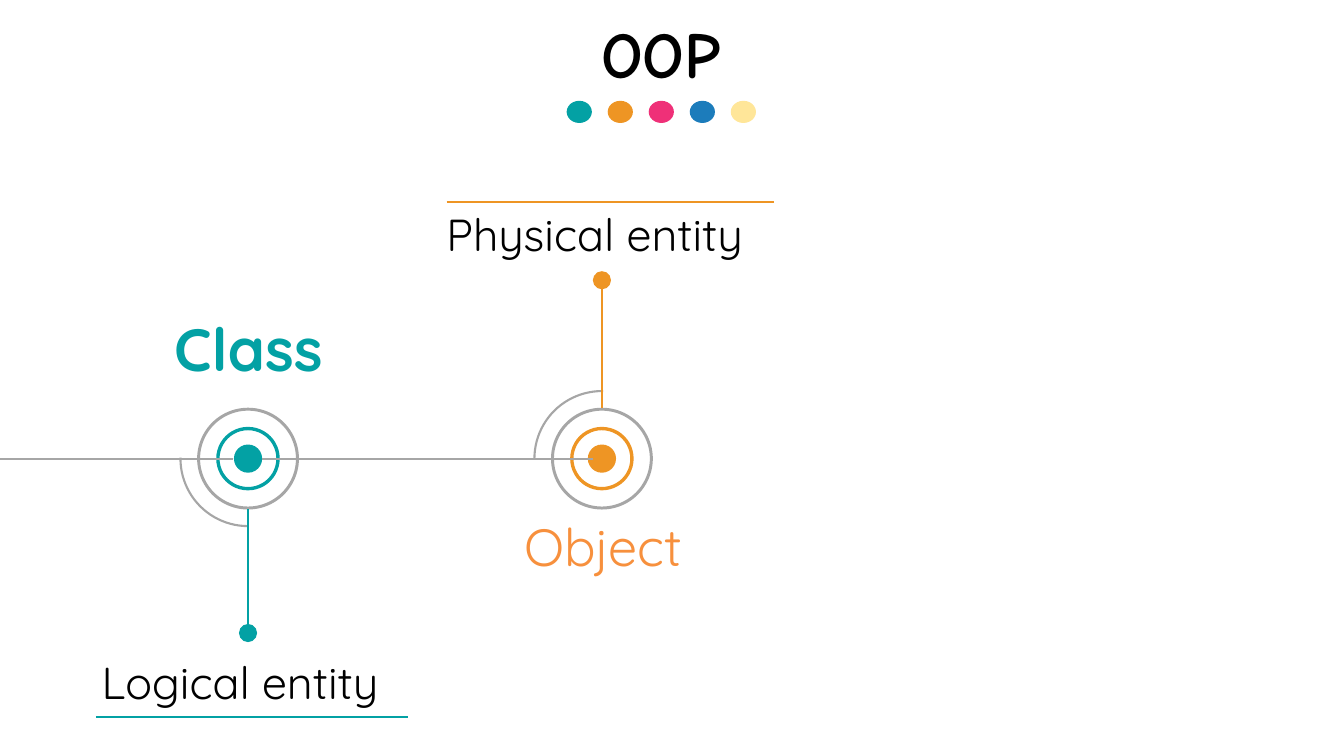
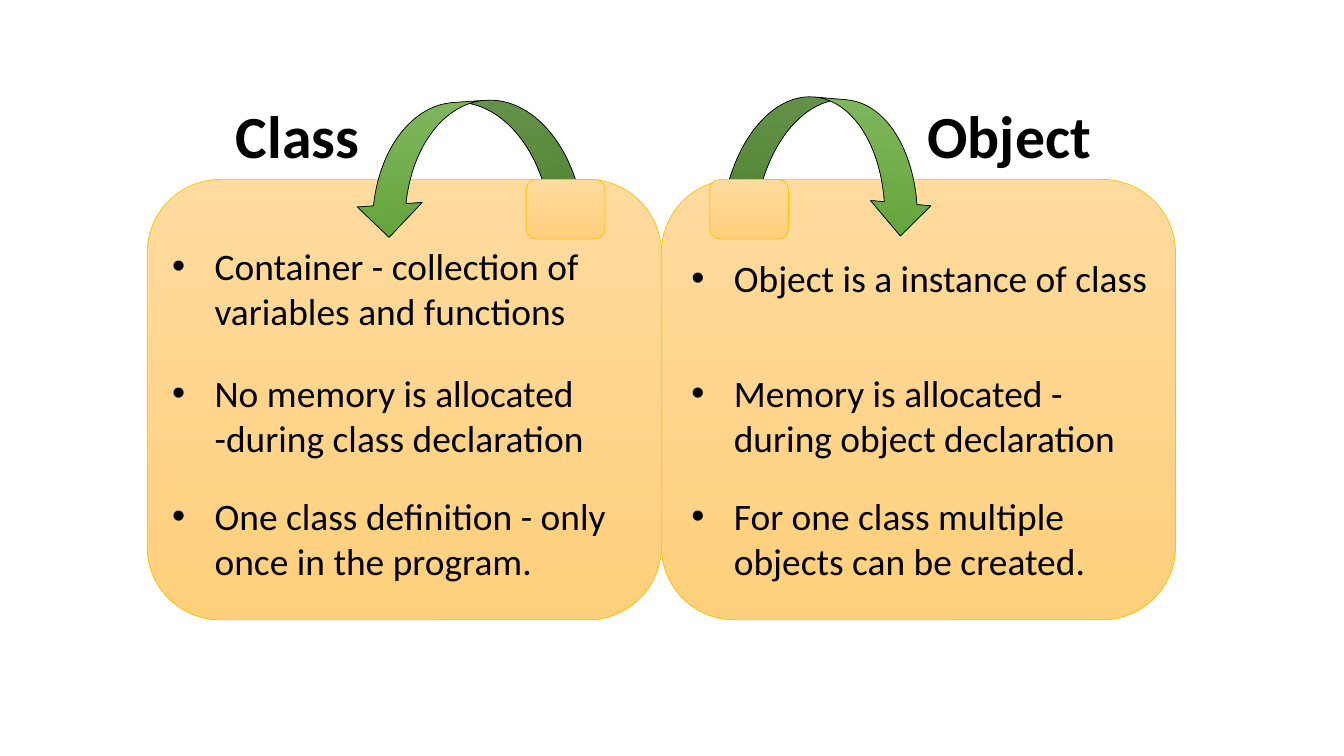
from lxml import etree
from pptx import Presentation
from pptx.dml.color import RGBColor
from pptx.enum.shapes import MSO_CONNECTOR, MSO_SHAPE
from pptx.enum.text import MSO_AUTO_SIZE, PP_ALIGN
from pptx.oxml.ns import qn
from pptx.util import Inches, Pt

ARC, OVAL, DONUT = MSO_SHAPE.ARC, MSO_SHAPE.OVAL, MSO_SHAPE.DONUT
ROUNDED, CURVED = MSO_SHAPE.ROUNDED_RECTANGLE, MSO_SHAPE.CURVED_DOWN_ARROW
STRAIGHT = MSO_CONNECTOR.STRAIGHT
LEFT, CENTER = PP_ALIGN.LEFT, PP_ALIGN.CENTER

BLACK = RGBColor(0x00, 0x00, 0x00)
GRAY = RGBColor(0xA6, 0xA6, 0xA6)
TEAL = RGBColor(0x03, 0xA1, 0xA4)
ORANGE = RGBColor(0xEE, 0x95, 0x24)
LABEL_ORANGE = RGBColor(0xF7, 0x90, 0x3D)
PINK = RGBColor(0xEF, 0x30, 0x78)
BLUE = RGBColor(0x1C, 0x7C, 0xBB)
CREAM = RGBColor(0xFF, 0xE6, 0x99)
GOLD = RGBColor(0xFF, 0xC0, 0x00)
CARD_FILL = (RGBColor(0xFF, 0xDB, 0x9E), RGBColor(0xFF, 0xD0, 0x7C))
ARROW_FILL = (RGBColor(0x81, 0xB8, 0x61), RGBColor(0x62, 0xA3, 0x36))

WIDTH, HEIGHT = 13.33, 7.5
TIMELINE_FONT, CARD_FONT = "Quicksand", "Calibri"
HEADING_SIZE = 42.7

TITLE = "OOP"
DOT_COLORS = [TEAL, ORANGE, PINK, BLUE, CREAM]
AXIS_Y = 4.55
NODES = [
    dict(x=2.46, color=TEAL, side=1, turn=0, pin_y=6.28, axis=(0, 2.31),
         name=("Class", (1.36, 3.04, 2.21, 0.82), HEADING_SIZE, TEAL, True),
         note=("Logical entity", (0.91, 6.45, 3.5, 0.64)), rule=(0.95, 4.05, 7.11)),
    dict(x=5.97, color=ORANGE, side=-1, turn=90, pin_y=2.78, axis=(2.6, 5.88),
         name=("Object", (4.43, 5.05, 3.1, 0.73), 37.3, LABEL_ORANGE, False),
         note=("Physical entity", (4.33, 2, 3.57, 0.64)), rule=(4.43, 7.68, 2)),
]

CARD_TOP, CARD_W, CARD_H = 1.78, 5.1, 4.37
CARD_LEFT = 1.46
BULLET_TOPS = [2.36, 3.62, 4.84]
CARDS = [
    dict(heading="Class", heading_box=(2.24, 0.93, 1.56, 0.82), tab_x=5.22, text_x=1.61,
         arrow=(3.49, 1.01, 2.26, 1.29), turn=356, flip=True, head=0.5, first_drop=0,
         points=["Container - collection of variables and functions",
                 "No memory is allocated -during class declaration",
                 "One class definition - only once in the program."]),
    dict(heading="Object", heading_box=(9.1, 0.93, 2.4, 0.82), tab_x=7.04, text_x=6.76,
         arrow=(7.21, 0.98, 2.08, 1.3), turn=5, flip=False, head=0.462, first_drop=0.12,
         points=["Object is a instance of class",
                 "Memory is allocated - during object declaration",
                 "For one class multiple objects can be created."]),
]


def add_shape(slide, kind, box, fill=None, line=None, weight=1.5, adj=(), turn=0):
    sp = slide.shapes.add_shape(kind, *map(Inches, box))
    sp.shadow.inherit = False
    for i, value in enumerate(adj):
        sp.adjustments[i] = value
    if fill is None:
        sp.fill.background()
    elif isinstance(fill, RGBColor):
        sp.fill.solid()
        sp.fill.fore_color.rgb = fill
    else:
        sp.fill.gradient()
        sp.fill.gradient_angle = 270
        for stop, color in zip(sp.fill.gradient_stops, fill):
            stop.color.rgb = color
    if line is None:
        sp.line.fill.background()
    else:
        sp.line.color.rgb = line
        sp.line.width = Pt(weight)
    sp.rotation = turn
    return sp


def add_round(slide, kind, x, y, size, fill=None, **style):
    return add_shape(slide, kind, (x - size / 2, y - size / 2, size, size), fill, **style)


def add_line(slide, x1, y1, x2, y2, color):
    line = slide.shapes.add_connector(STRAIGHT, *map(Inches, (x1, y1, x2, y2)))
    line.line.color.rgb = color
    line.line.width = Pt(1.5)
    etree.SubElement(line._element.spPr, qn("a:effectLst"))


def add_text(slide, text, box, size, font, color=BLACK, bold=False, align=LEFT, bullet=False):
    tf = slide.shapes.add_textbox(*map(Inches, box)).text_frame
    tf.word_wrap = True
    tf.auto_size = MSO_AUTO_SIZE.SHAPE_TO_FIT_TEXT
    tf.text = text
    p = tf.paragraphs[0]
    p.alignment = align
    if bullet:
        pPr = p._p.get_or_add_pPr()
        pPr.set("marL", str(Inches(0.42)))
        pPr.set("indent", str(-Inches(0.42)))
        etree.SubElement(pPr, qn("a:buFont"), typeface="Arial")
        etree.SubElement(pPr, qn("a:buChar"), char="•")
    f = p.runs[0].font
    f.name, f.size, f.bold = font, Pt(size), bold
    f.color.rgb = color


def add_node(slide, node):
    x, color, side = node["x"], node["color"], node["side"]
    add_round(slide, ARC, x, AXIS_Y, 1.34, line=GRAY, adj=(54.2, 108.53), turn=node["turn"])
    add_round(slide, OVAL, x, AXIS_Y, 0.28, color)
    add_round(slide, DONUT, x, AXIS_Y, 0.63, color, adj=(0.053,))
    add_round(slide, DONUT, x, AXIS_Y, 1.01, GRAY, adj=(0.029,))
    start, end = node["axis"]
    add_line(slide, start, AXIS_Y, end, AXIS_Y, GRAY)
    add_line(slide, x, AXIS_Y + side * 0.5, x, node["pin_y"], color)
    add_round(slide, OVAL, x, node["pin_y"], 0.18, color)
    name, box, size, name_color, bold = node["name"]
    add_text(slide, name, box, size, TIMELINE_FONT, name_color, bold, CENTER)
    add_text(slide, *node["note"], 32, TIMELINE_FONT)
    left, right, y = node["rule"]
    add_line(slide, left, y, right, y, color)


def build_timeline(slide):
    add_text(slide, TITLE, (1.25, 0.08, 10.61, 0.89), 46.7, "Comic Neue",
             bold=True, align=CENTER)
    for i, color in enumerate(DOT_COLORS):
        add_shape(slide, OVAL, (5.62 + i * 0.407, 1, 0.25, 0.22), color)
    for node in NODES:
        add_node(slide, node)


def build_comparison(slide):
    for i, card in enumerate(CARDS):
        add_text(slide, card["heading"], card["heading_box"], HEADING_SIZE, CARD_FONT, bold=True)
        add_shape(slide, ROUNDED, (CARD_LEFT + i * CARD_W, CARD_TOP, CARD_W, CARD_H),
                  CARD_FILL, GOLD, 0.5)
        arrow = add_shape(slide, CURVED, card["arrow"], ARROW_FILL, BLACK, 0.5,
                          (0.25, card["head"], 0.25), card["turn"])
        if card["flip"]:
            arrow._element.spPr.xfrm.set("flipH", "1")
        add_shape(slide, ROUNDED, (card["tab_x"], CARD_TOP, 0.78, 0.59), CARD_FILL, GOLD, 0.5)
        for j, (text, top) in enumerate(zip(card["points"], BULLET_TOPS)):
            drop = card["first_drop"] if j == 0 else 0
            add_text(slide, text, (card["text_x"], top + drop, 4.79, 1 - drop),
                     26.7, CARD_FONT, bullet=True)


def main():
    prs = Presentation()
    prs.slide_width, prs.slide_height = Inches(WIDTH), Inches(HEIGHT)
    for build in (build_timeline, build_comparison):
        build(prs.slides.add_slide(prs.slide_layouts[6]))
    prs.save("out.pptx")


if __name__ == "__main__":
    main()
